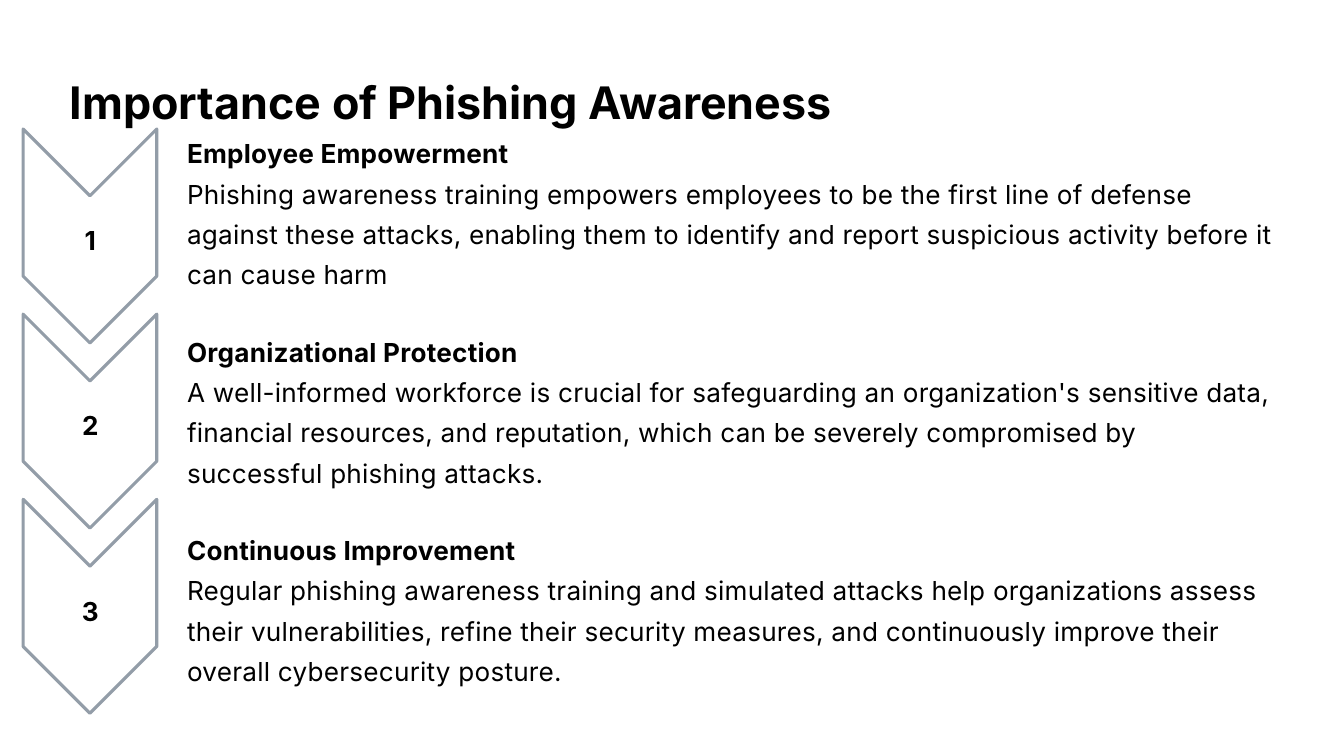
from dataclasses import dataclass

from pptx import Presentation
from pptx.dml.color import RGBColor
from pptx.enum import shapes, text
from pptx import util as u


@dataclass(frozen=True)
class Theme:
    font: str = "Inter"
    ink: RGBColor = RGBColor(0x00, 0x00, 0x00)
    outline: RGBColor = RGBColor(0x93, 0x9D, 0xA8)
    paper: RGBColor = RGBColor(0xFF, 0xFF, 0xFF)
    title_size: float = 24
    title_leading: float = 31.2
    body_size: float = 14
    body_leading: float = 21.6
    tracking: int = 10  # hundredths of a point
    line_width: float = 1.67


class SlideBuilder:
    def __init__(self, prs, theme):
        self.theme = theme
        self.s = prs.slides.add_slide(prs.slide_layouts[5])
        fill = self.s.background.fill
        fill.solid()
        fill.fore_color.rgb = theme.paper

    def _frame(self, sp, wrap):
        tf = sp.text_frame
        tf.margin_left = tf.margin_top = tf.margin_right = tf.margin_bottom = 0
        tf.vertical_anchor = text.MSO_ANCHOR.TOP
        tf.auto_size = text.MSO_AUTO_SIZE.NONE
        tf.word_wrap = wrap
        return tf

    def _write(self, p, words, size, leading, bold, align, tracking=0):
        p.alignment = align
        p.line_spacing = u.Pt(leading)
        p.space_before = p.space_after = u.Pt(0)
        r = p.add_run()
        r.text = words
        r.font.name = self.theme.font
        r.font.size = u.Pt(size)
        r.font.bold = bold
        r.font.color.rgb = self.theme.ink
        if tracking:
            r._r.get_or_add_rPr().set("spc", str(tracking))

    def _body_line(self, p, words, bold, align=text.PP_ALIGN.LEFT):
        t = self.theme
        self._write(p, words, t.body_size, t.body_leading, bold, align, t.tracking)

    def title(self, words, x, y, w, h):
        t = self.theme
        sp = self.s.shapes.title
        sp.left, sp.top, sp.width, sp.height = map(u.Pt, (x, y, w, h))
        tf = self._frame(sp, wrap=False)
        self._write(tf.paragraphs[0], words, t.title_size, t.title_leading,
                    True, text.PP_ALIGN.LEFT)

    def section(self, heading, detail, x, y, w, h):
        sp = self.s.shapes.add_textbox(*map(u.Pt, (x, y, w, h)))
        tf = self._frame(sp, wrap=True)
        self._body_line(tf.paragraphs[0], heading, True)
        self._body_line(tf.add_paragraph(), detail, False)

    def chevron(self, cx, cy, length, breadth):
        box = (cx - length / 2, cy - breadth / 2, length, breadth)
        sp = self.s.shapes.add_shape(shapes.MSO_SHAPE.CHEVRON, *map(u.Pt, box))
        sp.rotation = 90
        sp.shadow.inherit = False
        sp.fill.background()
        sp.line.color.rgb = self.theme.outline
        sp.line.width = u.Pt(self.theme.line_width)

    def number(self, n, cx, cy, w=9):
        h = self.theme.body_leading
        sp = self.s.shapes.add_textbox(*map(u.Pt, (cx - w / 2, cy - h / 2, w, h)))
        tf = self._frame(sp, wrap=False)
        self._body_line(tf.paragraphs[0], str(n), True, text.PP_ALIGN.CENTER)


SECTIONS = [
    ("Employee Empowerment",
     "Phishing awareness training empowers employees to be the first line of "
     "defense against these attacks, enabling them to identify and report "
     "suspicious activity before it can cause harm"),
    ("Organizational Protection",
     "A well-informed workforce is crucial for safeguarding an organization's "
     "sensitive data, financial resources, and reputation, which can be "
     "severely compromised by successful phishing attacks."),
    ("Continuous Improvement",
     "Regular phishing awareness training and simulated attacks help "
     "organizations assess their vulnerabilities, refine their security "
     "measures, and continuously improve their overall cybersecurity posture."),
]


def main():
    prs = Presentation()
    prs.slide_width, prs.slide_height = u.Pt(720), u.Pt(405)
    slide = SlideBuilder(prs, Theme())

    # Title
    slide.title("Importance of Phishing Awareness", 37.4, 37.4, 409, 31.2)

    # Text sections, evenly spaced
    for i, (heading, detail) in enumerate(SECTIONS):
        slide.section(heading, detail, 100.2, 69 + 106.3 * i, 582.6, 86.4)

    # Column of downward chevrons, each with its number in the centre
    centres = [126.4 + 99.2 * i for i in range(len(SECTIONS))]
    for cy in centres:
        slide.chevron(48.2, cy, 114.6, 71.6)
    for n, cy in enumerate(centres, 1):
        slide.number(n, 48.4, cy)

    prs.save("out.pptx")


if __name__ == "__main__":
    main()
